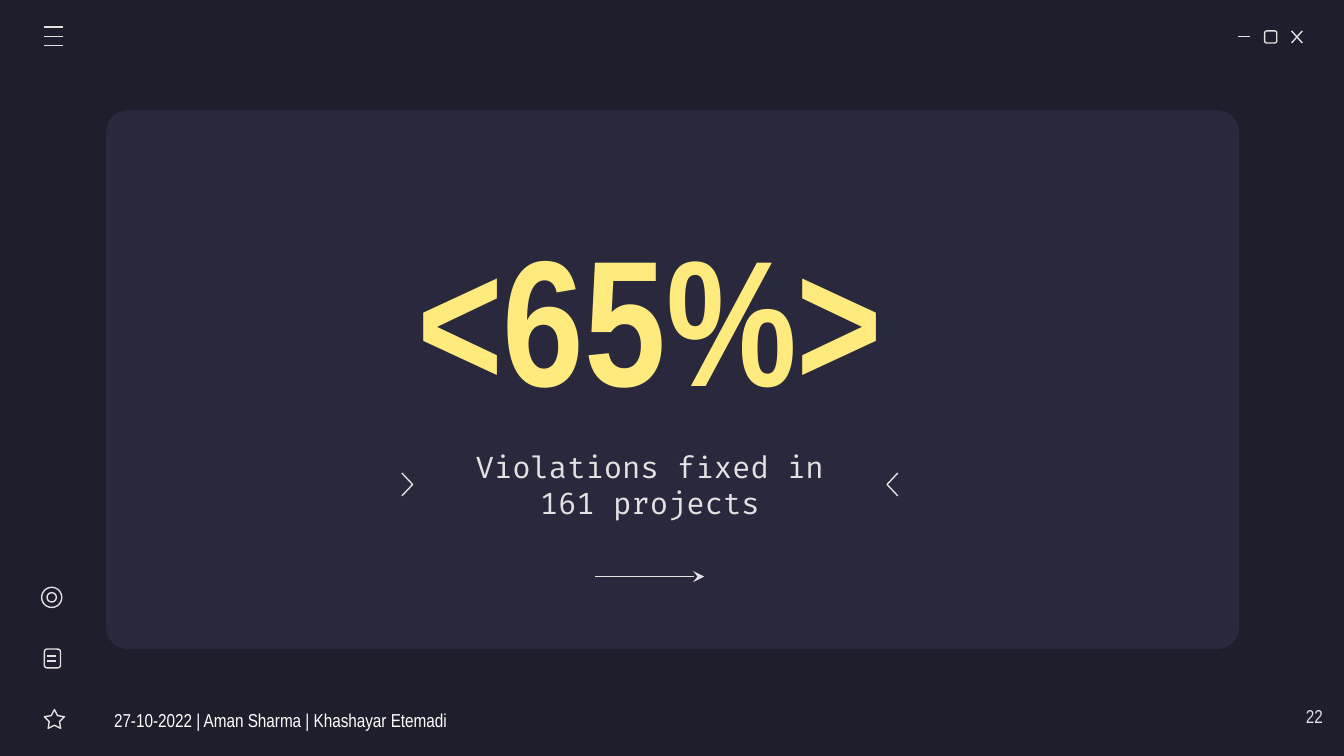
from lxml import etree
from pptx import Presentation
from pptx import util as u
from pptx.dml import color
from pptx.enum import shapes, text
from pptx.oxml import ns

PALE = "E2E2E2"
KIND = shapes.MSO_SHAPE
ALIGN = text.PP_ALIGN
ANCHOR = text.MSO_ANCHOR


def rgb(code):
    """Turn a hex string into a colour."""
    return color.RGBColor.from_string(code)


def stroke(item):
    """Give a shape or connector the thin pale line."""
    item.line.color.rgb = rgb(PALE)
    item.line.width = u.Pt(0.75)


def line(slide, x1, y1, x2, y2, head=None):
    """Draw a straight line, with an arrowhead if one is named."""
    part = slide.shapes.add_connector(
        shapes.MSO_CONNECTOR.STRAIGHT, *map(u.Inches, (x1, y1, x2, y2)))
    stroke(part)
    etree.SubElement(part._element.spPr, ns.qn("a:effectLst"))
    if head:
        etree.SubElement(part.line._get_or_add_ln(), ns.qn("a:tailEnd"), type=head)


def shape(slide, kind, x, y, w, h, fill=None, adj=()):
    """Draw a filled shape, or an outlined one when no fill is given."""
    part = slide.shapes.add_shape(kind, *map(u.Inches, (x, y, w, h)))
    part.shadow.inherit = False
    for i, value in enumerate(adj):
        part.adjustments[i] = value
    if fill:
        part.fill.solid()
        part.fill.fore_color.rgb = rgb(fill)
        part.line.fill.background()
    else:
        part.fill.background()
        stroke(part)


def label(slide, x, y, w, h, words, size, font="Arial Narrow", code=PALE,
          align=ALIGN.CENTER, anchor=ANCHOR.MIDDLE, right=0.1, bold=False):
    """Place one paragraph of text in a box."""
    frame = slide.shapes.add_textbox(*map(u.Inches, (x, y, w, h))).text_frame
    frame.word_wrap = True
    frame.vertical_anchor = anchor
    frame.margin_left = frame.margin_top = frame.margin_bottom = u.Inches(0.1)
    frame.margin_right = u.Inches(right)
    para = frame.paragraphs[0]
    para.text = words
    para.alignment = align
    para.font.name = font
    para.font.size = u.Pt(size)
    para.font.bold = bold
    para.font.color.rgb = rgb(code)


def angle(slide, x, y, w, h):
    """Draw a chevron whose tip is w away from x."""
    pts = [(u.Inches(a), u.Inches(b))
           for a, b in ((x, y), (x + w, y + h / 2), (x, y + h))]
    pen = slide.shapes.build_freeform(*pts[0])
    pen.add_line_segments(pts[1:], close=False)
    part = pen.convert_to_shape()
    part.shadow.inherit = False
    part.fill.background()
    stroke(part)


def menu(slide, x, y, w, h):
    """Draw the three menu bars."""
    for i in range(3):
        line(slide, x, y + i * h / 2, x + w, y + i * h / 2)


def window(slide, x, y, w, h):
    """Draw the minimise, maximise and close signs."""
    line(slide, x, y + 0.04, x + h, y + 0.04)
    shape(slide, KIND.ROUNDED_RECTANGLE, x + 0.2, y, h, h)
    line(slide, x + w - 0.08, y, x + w, y + h)
    line(slide, x + w, y, x + w - 0.08, y + h)


def tools(slide, x, y, w, h):
    """Draw the ring, page and star icons down the side."""
    for gap in (0, 0.04):
        side = 0.15 - 2 * gap
        shape(slide, KIND.OVAL, x + gap, y + gap, side, side)
    mid = y + 0.46
    shape(slide, KIND.ROUNDED_RECTANGLE, x + 0.02, mid, 0.12, 0.14)
    for drop in (0.05, 0.09):
        line(slide, x + 0.04, mid + drop, x + 0.11, mid + drop)
    shape(slide, KIND.STAR_5_POINT, x + w - 0.15, y + h - 0.14, 0.15, 0.14,
          adj=(0.254, 1.051, 1.106))


def panel(slide, x, y, w, h):
    """Draw the card with its big figure, caption and arrow."""
    shape(slide, KIND.ROUNDED_RECTANGLE, x, y, w, h, "29283D", (0.04,))
    label(slide, x + 1.1, y + 0.7, 5.89, 1.64, "<65%>", 96,
          code="FFEA7D", bold=True)
    label(slide, x + 2.45, y + 2.46, 3.19, 0.65,
          "Violations fixed in 161 projects", 16, "Fira Code")
    angle(slide, x + 2.2, y + 2.7, 0.08, 0.17)
    angle(slide, x + 5.89, y + 2.7, -0.08, 0.17)
    line(slide, x + 3.64, y + 3.47, x + 4.45, y + 3.47, "stealth")


def footer(slide, x, y, w, h):
    """Write the date line and the page number."""
    label(slide, x, y + 0.05, 3.15, 0.3,
          "27-10-2022 | Aman Sharma | Khashayar Etemadi", 10,
          code="FFFFFF", align=ALIGN.LEFT, right=0)
    label(slide, x + w - 0.6, y, 0.6, h, "22", 10,
          align=ALIGN.RIGHT, anchor=ANCHOR.TOP)


def main():
    """Build the slide and save it."""
    deck = Presentation()
    deck.slide_width = u.Inches(10)
    deck.slide_height = deck.slide_width * 9 // 16
    slide = deck.slides.add_slide(deck.slide_layouts[6])
    slide.background.fill.solid()
    slide.background.fill.fore_color.rgb = rgb("1E1E2C")
    panel(slide, 0.79, 0.82, 8.43, 4.01)
    window(slide, 9.21, 0.23, 0.48, 0.09)
    menu(slide, 0.33, 0.2, 0.14, 0.14)
    tools(slide, 0.31, 4.37, 0.17, 1.05)
    footer(slide, 0.75, 5.16, 9.19, 0.43)
    deck.save("out.pptx")


if __name__ == "__main__":
    main()
